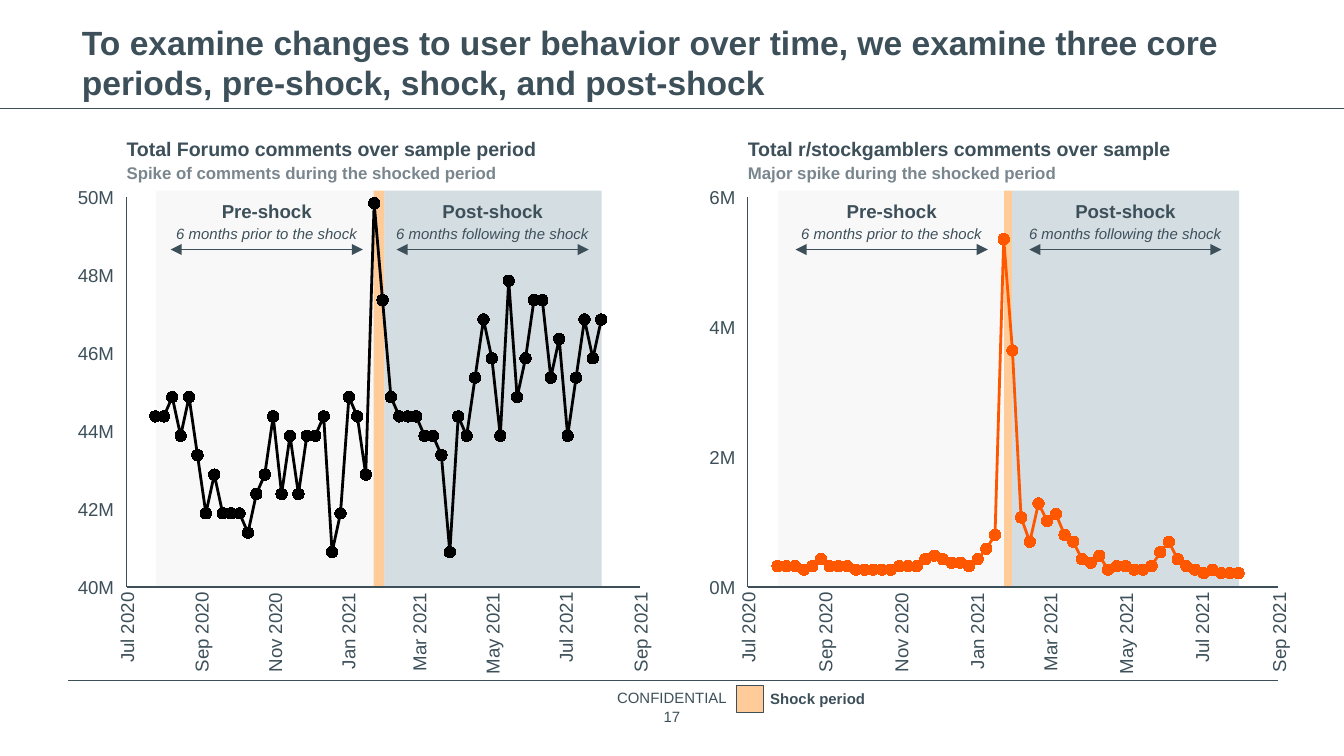
from dataclasses import dataclass

from lxml import etree
from pptx import Presentation
from pptx.chart.data import XyChartData
from pptx.dml.color import RGBColor
from pptx.enum import chart as charts, shapes, text
from pptx.oxml import parse_xml
from pptx.oxml.ns import nsdecls, qn
from pptx.util import Pt

SLATE = RGBColor(0x3D, 0x50, 0x5A)
GREY = RGBColor(0x7A, 0x86, 0x8E)
MIST = RGBColor(0xD4, 0xDD, 0xE2)
PALE = RGBColor(0xF2, 0xF2, 0xF2)
PEACH = RGBColor(0xFF, 0xCC, 0x99)
ORANGE = RGBColor(0xFF, 0x57, 0x00)
BLACK = RGBColor(0, 0, 0)

FONT = "Arial"
PLOT_TOP, PLOT_HEIGHT, PAD = 105.8, 208.8, 6.5
FIRST_DAY, LAST_DAY, FIRST_WEEK = 18444, 18871, 18468
MONTHS = {"Jul 2020": 0, "Sep 2020": 62, "Nov 2020": 123, "Jan 2021": 184,
          "Mar 2021": 243, "May 2021": 304, "Jul 2021": 365, "Sep 2021": 427}
LEFT, CENTER, RIGHT = text.PP_ALIGN.LEFT, text.PP_ALIGN.CENTER, text.PP_ALIGN.RIGHT

ALL_COMMENTS = [
    89, 89, 90, 88, 90, 87, 84, 86, 84, 84, 84, 83, 85, 86, 89, 85, 88, 85,
    88, 88, 89, 82, 84, 90, 89, 86, 100, 95, 90, 89, 89, 89, 88, 88, 87, 82,
    89, 88, 91, 94, 92, 88, 96, 90, 92, 95, 95, 91, 93, 88, 91, 94, 92, 94]
FORUM_COMMENTS = [
    6, 6, 6, 5, 6, 8, 6, 6, 6, 5, 5, 5, 5, 5, 6, 6, 6, 8,
    9, 8, 7, 7, 6, 8, 11, 15, 100, 68, 20, 13, 24, 19, 21, 15, 13, 8,
    7, 9, 5, 6, 6, 5, 5, 6, 10, 13, 8, 6, 5, 4, 5, 4, 4, 4]


@dataclass
class Panel:
    """One chart with its headings, period bands and axis labels."""
    title: str
    subtitle: str
    left: float
    width: float
    edges: tuple
    arrows: tuple
    ticks: tuple
    limits: tuple
    values: list
    color: RGBColor


def add_text(page, x, y, width, height, lines, align=LEFT, before=0):
    """Add a text box; each line is (words, size, bold, italic, color)."""
    box = page.shapes.add_textbox(Pt(x), Pt(y), Pt(width), Pt(height))
    frame = box.text_frame
    frame.word_wrap = True
    frame.vertical_anchor = text.MSO_ANCHOR.MIDDLE
    frame.margin_left = frame.margin_right = frame.margin_top = frame.margin_bottom = 0
    frame.text = "\n".join(line[0] for line in lines)
    for para, (_, size, bold, italic, color) in zip(frame.paragraphs, lines):
        para.alignment = align
        para.space_before = Pt(before)
        font = para.runs[0].font
        font.name, font.size, font.bold, font.italic = FONT, Pt(size), bold, italic
        font.color.rgb = color
    return box


def add_label(page, x, y, width, height, words, size=8, bold=False, align=CENTER):
    """Add a single line of slate text."""
    return add_text(page, x, y, width, height, [(words, size, bold, False, SLATE)], align)


def add_rect(page, x, y, width, height, color, alpha=None, outline=None):
    """Add a filled rectangle, optionally transparent or outlined."""
    box = page.shapes.add_shape(shapes.MSO_SHAPE.RECTANGLE, Pt(x), Pt(y), Pt(width), Pt(height))
    box.shadow.inherit = False
    box.fill.solid()
    box.fill.fore_color.rgb = color
    if alpha:
        tint = box.fill._xPr.find(".//" + qn("a:srgbClr"))
        etree.SubElement(tint, qn("a:alpha")).set("val", str(alpha * 1000))
    if outline:
        box.line.color.rgb = outline
        box.line.width = Pt(0.5)
    else:
        box.line.fill.background()


def add_line(page, start, end, y, weight=0.75, arrows=False):
    """Add a horizontal rule or a double-headed arrow."""
    line = page.shapes.add_connector(shapes.MSO_CONNECTOR.STRAIGHT, Pt(start), Pt(y), Pt(end), Pt(y))
    line.line.color.rgb = SLATE
    line.line.width = Pt(weight)
    if arrows:
        for tag in ("a:headEnd", "a:tailEnd"):
            etree.SubElement(line.line._ln, qn(tag)).set("type", "triangle")
    etree.SubElement(line._element.spPr, qn("a:effectLst"))


def add_title(page, words):
    """Fill and place the title placeholder."""
    title = page.shapes.title
    title.left, title.top, title.width, title.height = Pt(36.7), Pt(0), Pt(648), Pt(58.3)
    frame = title.text_frame
    frame.text = words
    frame.auto_size = text.MSO_AUTO_SIZE.NONE
    frame.vertical_anchor = text.MSO_ANCHOR.BOTTOM
    para = frame.paragraphs[0]
    para.alignment = LEFT
    font = para.runs[0].font
    font.name, font.size, font.bold = FONT, Pt(18), True
    font.color.rgb = SLATE


def clear_backgrounds(chart):
    """Make the chart and plot areas transparent and fix the plot's place."""
    blank = f'<c:spPr {nsdecls("c", "a")}><a:noFill/><a:ln><a:noFill/></a:ln></c:spPr>'
    root = chart._chartSpace
    root.find(qn("c:chart")).addnext(parse_xml(blank))
    area = root.find(".//" + qn("c:plotArea"))
    area.append(parse_xml(blank))
    return area


def add_scatter(page, panel):
    """Add the weekly comment line with bare axes."""
    data = XyChartData()
    series = data.add_series("Series 1")
    for week, value in enumerate(panel.values):
        series.add_data_point(FIRST_WEEK + 7 * week, value)
    width, height = panel.width + 2 * PAD, PLOT_HEIGHT + 2 * PAD
    chart = page.shapes.add_chart(
        charts.XL_CHART_TYPE.XY_SCATTER_LINES, Pt(panel.left - PAD), Pt(PLOT_TOP - PAD),
        Pt(width), Pt(height), data).chart
    chart.has_legend = chart.has_title = False
    chart.font.name, chart.font.size = FONT, Pt(10)
    chart.font.color.rgb = SLATE
    limits = ((FIRST_DAY, LAST_DAY), panel.limits)
    for axis, (low, high) in zip((chart.category_axis, chart.value_axis), limits):
        axis.minimum_scale, axis.maximum_scale = low, high
        axis.has_major_gridlines = False
        axis.major_tick_mark = axis.minor_tick_mark = charts.XL_TICK_MARK.NONE
        axis.tick_label_position = charts.XL_TICK_LABEL_POSITION.NONE
        axis.format.line.color.rgb = SLATE
        axis.format.line.width = Pt(0.75)
    plotted = chart.plots[0].series[0]
    plotted.smooth = False
    plotted.format.line.color.rgb = panel.color
    plotted.format.line.width = Pt(1.5)
    marker = plotted.marker
    marker.style, marker.size = charts.XL_MARKER_STYLE.CIRCLE, 6
    marker.format.fill.solid()
    marker.format.fill.fore_color.rgb = panel.color
    marker.format.line.color.rgb = panel.color
    area = clear_backgrounds(chart)
    for old in area.findall(qn("c:layout")):
        area.remove(old)
    places = {"layoutTarget": "inner", "xMode": "edge", "yMode": "edge",
              "x": PAD / width, "y": PAD / height,
              "w": panel.width / width, "h": PLOT_HEIGHT / height}
    items = "".join(f'<c:{tag} val="{value}"/>' for tag, value in places.items())
    area.insert(0, parse_xml(
        f'<c:layout {nsdecls("c")}><c:manualLayout>{items}</c:manualLayout></c:layout>'))


def add_axis_labels(page, panel):
    """Place month names below and comment counts beside the plot."""
    for month, day in MONTHS.items():
        x = panel.left + panel.width * day / (LAST_DAY - FIRST_DAY)
        box = add_label(page, x - 6, 317.5, 12.2, 48, month, 10, align=RIGHT)
        box.text_frame._txBody.bodyPr.set("vert", "vert270")
    for index, tick in enumerate(panel.ticks):
        y = PLOT_TOP + PLOT_HEIGHT * (1 - index / (len(panel.ticks) - 1))
        add_label(page, panel.left - 36.7, y - 6.1, 30, 12.2, f"{tick}M", 10, align=RIGHT)


def add_panel(page, panel):
    """Draw one panel from its bands up to its annotations."""
    bands = zip(panel.edges, panel.edges[1:], (PALE, PEACH, MIST), (50, None, None))
    for start, end, color, alpha in bands:
        add_rect(page, start, 102.2, end - start, 211.8, color, alpha)
    add_scatter(page, panel)
    add_axis_labels(page, panel)
    periods = (("Pre-shock", "6 months prior to the shock"),
               ("Post-shock", "6 months following the shock"))
    for start, (name, span) in zip(panel.arrows, periods):
        add_line(page, start, start + 103, 133.7, 1, arrows=True)
        add_text(page, start - 4, 106.5, 111, 23.8,
                 [(name, 10, True, False, SLATE), (span, 8, False, True, SLATE)], CENTER, 1)
    add_text(page, panel.left, 72.7, 274.3, 26,
             [(panel.title, 10.5, True, False, SLATE),
              (panel.subtitle, 9, True, False, GREY)], before=0.8)


def main():
    """Build the slide and save it."""
    deck = Presentation()
    deck.slide_width, deck.slide_height = Pt(720), Pt(405)
    page = deck.slides.add_slide(deck.slide_layouts[5])
    add_title(page, "To examine changes to user behavior over time, we examine three core "
                    "periods, pre-shock, shock, and post-shock")
    add_line(page, 0, 720, 58.3)
    add_line(page, 36.7, 684.7, 364.5)
    add_panel(page, Panel(
        "Total Forumo comments over sample period", "Spike of comments during the shocked period",
        67.8, 275, (83.5, 200.2, 206, 322.4), (91.4, 212.4), range(40, 51, 2),
        (80.2, 100.3), ALL_COMMENTS, BLACK))
    add_panel(page, Panel(
        "Total r/stockgamblers comments over sample", "Major spike during the shocked period",
        400.6, 284.3, (416.9, 538, 542.2, 663.8), (426.2, 551.4), range(0, 7, 2),
        (0, 112), FORUM_COMMENTS, ORANGE))
    add_label(page, 326.2, 368.8, 67.7, 10, "CONFIDENTIAL")
    add_rect(page, 394.6, 367.2, 14.2, 14.4, PEACH, outline=SLATE)
    add_label(page, 412.6, 367.2, 85.7, 14.4, "Shock period", bold=True, align=LEFT)
    add_label(page, 349.2, 379, 21.6, 10, "17")
    deck.save("out.pptx")


if __name__ == "__main__":
    main()
